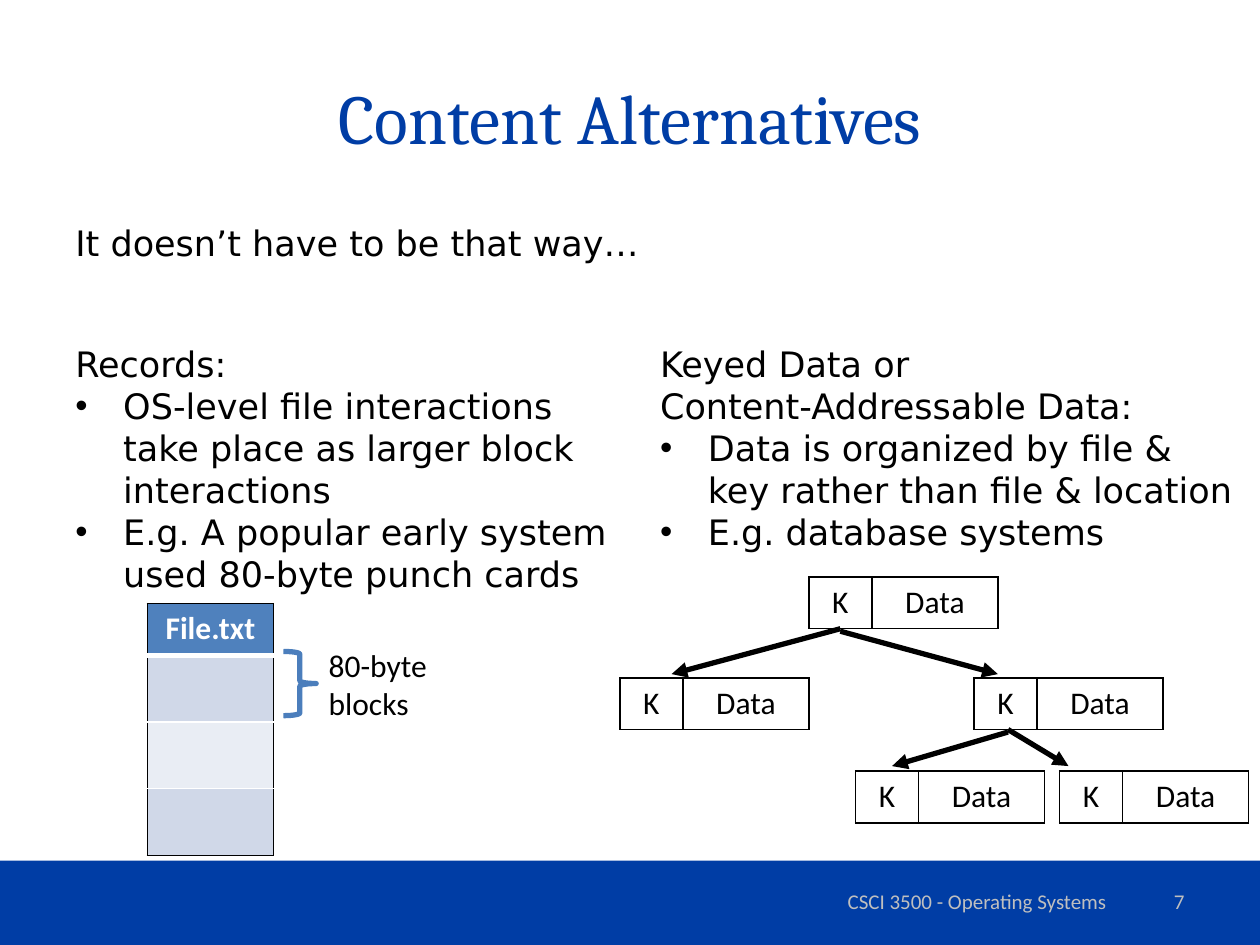
import pptx
import pptx.util
import pptx.dml.color
import pptx.enum.shapes
import pptx.enum.text
import pptx.oxml
import pptx.oxml.ns
import lxml.etree
from dataclasses import dataclass

Inches = pptx.util.Inches
Pt = pptx.util.Pt
Color = pptx.dml.color.RGBColor.from_string
Align = pptx.enum.text.PP_ALIGN
Anchor = pptx.enum.text.MSO_ANCHOR
qn = pptx.oxml.ns.qn


@dataclass
class Theme:
    navy: str = "003DA5"
    black: str = "000000"
    white: str = "FFFFFF"
    gray: str = "BFBFBF"
    head: str = "4F81BD"
    dark: str = "D0D8E8"
    light: str = "E9EDF4"
    brace: str = "4B7EBC"
    serif: str = "Cambria"
    sans: str = "Calibri"
    wide: str = "DejaVu Sans"
    title: int = 40
    body: int = 20
    label: int = 18
    foot: int = 12


theme = Theme()


def write(frame, texts, font, size, color, align=Align.LEFT, bold=False):
    frame.word_wrap = True
    for index, text in enumerate(texts):
        para = frame.paragraphs[0] if index == 0 else frame.add_paragraph()
        para.alignment = align
        if text.startswith("•"):
            text = text[1:]
            props = para._p.get_or_add_pPr()
            props.set("marL", str(Inches(0.38)))
            props.set("indent", str(Inches(-0.38)))
            lxml.etree.SubElement(props, qn("a:buFont")).set("typeface", "Arial")
            lxml.etree.SubElement(props, qn("a:buChar")).set("char", "•")
        for row, line in enumerate(text.split("\n")):
            if row:
                para.add_line_break()
            run = para.add_run()
            run.text = line
            run.font.name = font
            run.font.size = Pt(size)
            run.font.bold = bold
            run.font.color.rgb = Color(color)


def edge(cell, **sides):
    props = cell._tc.get_or_add_tcPr()
    for index, side in enumerate("LRTB"):
        color, width = sides.get(side, (theme.black, 1))
        line = pptx.oxml.parse_xml(
            f'<a:ln{side} {pptx.oxml.ns.nsdecls("a")} w="{Pt(width)}"><a:solidFill>'
            f'<a:srgbClr val="{color}"/></a:solidFill></a:ln{side}>')
        props.insert(index, line)


deck = pptx.Presentation()
deck.slide_width, deck.slide_height = Inches(10), Inches(7.5)
slide = deck.slides.add_slide(deck.slide_layouts[6])
shapes = slide.shapes

band = shapes.add_shape(pptx.enum.shapes.MSO_SHAPE.RECTANGLE,
                        Inches(0), Inches(6.83), Inches(10), Inches(0.67))
band.shadow.inherit = False
band.fill.solid()
band.fill.fore_color.rgb = Color(theme.navy)
band.line.fill.background()

title = (theme.serif, theme.title, theme.navy, Align.CENTER)
body = (theme.wide, theme.body, theme.black)
label = (theme.sans, theme.label, theme.black)
foot = (theme.sans, theme.foot, theme.gray)
records = ["Records:",
           "•OS-level file interactions\ntake place as larger block\ninteractions",
           "•E.g. A popular early system\nused 80-byte punch cards"]
keyed = ["Keyed Data or\nContent-Addressable Data:",
         "•Data is organized by file &\nkey rather than file & location",
         "•E.g. database systems"]
boxes = [
    (0.5, 0.3, 9, 1.25, Anchor.MIDDLE, ["Content Alternatives"], title),
    (0.5, 1.71, 9, 0.5, Anchor.TOP, ["It doesn’t have to be that way…"], body),
    (6.17, 6.95, 3.17, 0.4, Anchor.MIDDLE, ["CSCI 3500 - Operating Systems"],
     foot + (Align.CENTER,)),
    (7.17, 6.95, 2.33, 0.4, Anchor.MIDDLE, ["7"], foot + (Align.RIGHT,)),
    (0.5, 2.67, 4.66, 2.12, Anchor.TOP, records, body),
    (5.14, 2.67, 4.78, 1.78, Anchor.TOP, keyed, body),
    (2.51, 5.08, 1.05, 0.71, Anchor.TOP, ["80-byte\nblocks"], label),
]
for left, top, width, height, anchor, texts, style in boxes:
    frame = shapes.add_textbox(Inches(left), Inches(top),
                               Inches(width), Inches(height)).text_frame
    frame.vertical_anchor = anchor
    write(frame, texts, *style)

file = shapes.add_table(4, 1, Inches(1.17), Inches(4.79), Inches(1), Inches(2)).table
fills = [theme.head, theme.dark, theme.light, theme.dark]
rules = [(theme.black, 1), (theme.white, 3), (theme.white, 1),
         (theme.white, 1), (theme.black, 1)]
for index, fill in enumerate(fills):
    file.rows[index].height = Inches(0.53 if index else 0.41)
    cell = file.cell(index, 0)
    cell.fill.solid()
    cell.fill.fore_color.rgb = Color(fill)
    edge(cell, T=rules[index], B=rules[index + 1])
write(file.cell(0, 0).text_frame, ["File.txt"], theme.sans, theme.label,
      theme.white, Align.CENTER, True)

brace = shapes.add_shape(pptx.enum.shapes.MSO_SHAPE.RIGHT_BRACE,
                         Inches(2.25), Inches(5.17), Inches(0.26), Inches(0.51))
brace.shadow.inherit = False
brace.fill.background()
brace.line.color.rgb = Color(theme.brace)
brace.line.width = Pt(3)

nodes = [(6.42, 4.58), (4.92, 5.38), (7.73, 5.38), (6.79, 6.12), (8.41, 6.12)]
for left, top in nodes:
    node = shapes.add_table(1, 2, Inches(left), Inches(top),
                            Inches(1.5), Inches(0.41)).table
    for index, (text, width) in enumerate([("K", 0.5), ("Data", 1)]):
        node.columns[index].width = Inches(width)
        cell = node.cell(0, index)
        cell.fill.background()
        edge(cell)
        write(cell.text_frame, [text], *label, Align.CENTER)

links = [(6.67, 4.99, 5.33, 5.35), (6.67, 5.01, 7.92, 5.35),
         (8, 5.81, 7.08, 6.08), (8, 5.79, 8.48, 6.08)]
for ends in links:
    link = shapes.add_connector(pptx.enum.shapes.MSO_CONNECTOR.STRAIGHT,
                                *[Inches(end) for end in ends])
    link.line.color.rgb = Color(theme.black)
    link.line.width = Pt(3)
    line = link.line._get_or_add_ln()
    lxml.etree.SubElement(line, qn("a:tailEnd")).set("type", "triangle")
    lxml.etree.SubElement(link._element.spPr, qn("a:effectLst"))

deck.save("out.pptx")
